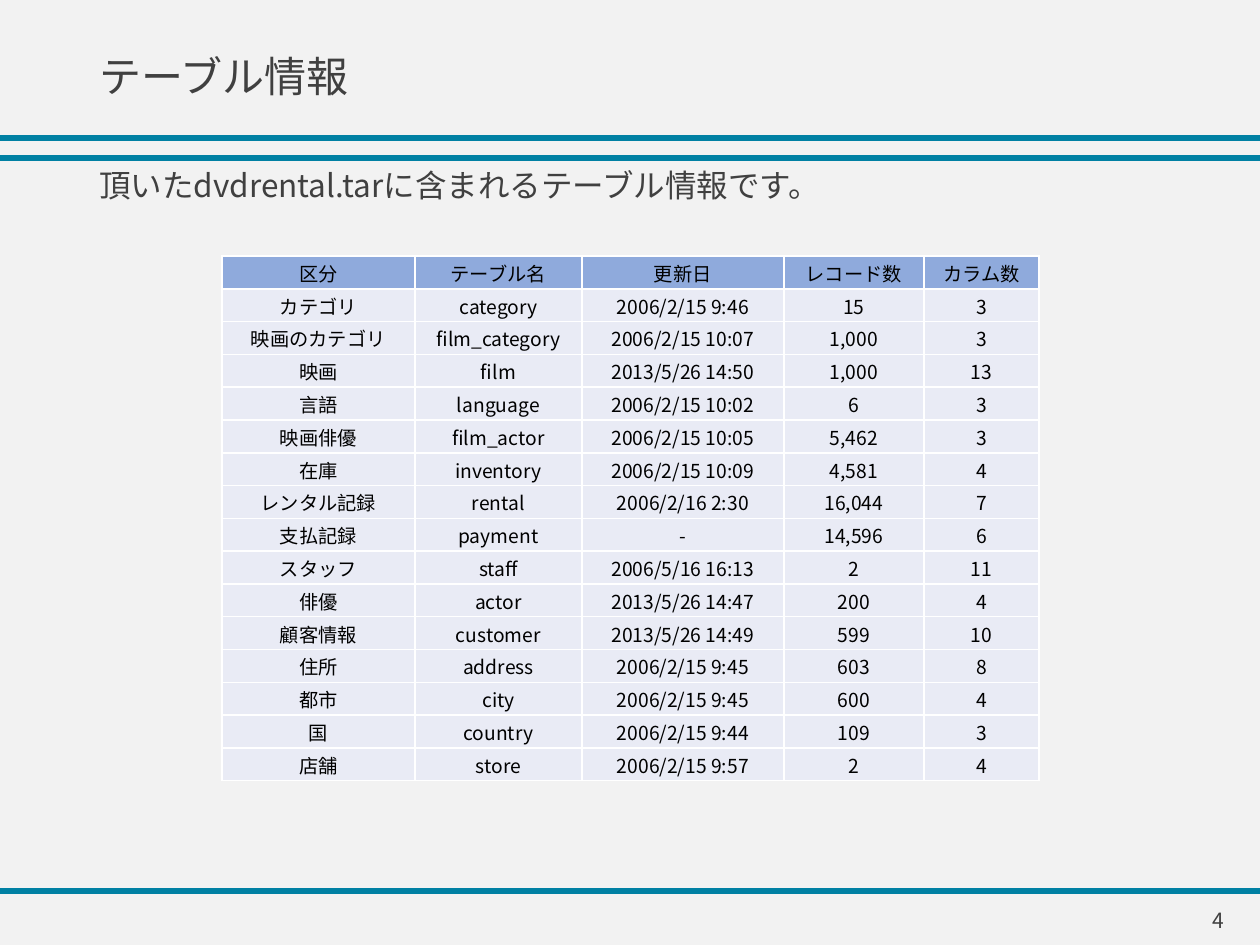
from lxml.etree import SubElement
from pptx import Presentation
from pptx.dml.color import RGBColor
from pptx.enum.shapes import MSO_CONNECTOR
from pptx.enum.text import MSO_ANCHOR, PP_ALIGN
from pptx.oxml.ns import qn
from pptx.util import Emu, Pt

FONT = "Noto Sans CJK JP"
COLORS = {
    "back": "F2F2F2", "rule": "0080A3", "text": "404040", "cell": "000000",
    "head": "8FAADC", "body": "E9EBF5", "edge": "FFFFFF",
}
WIDTH, HEIGHT = 1260, 945

HEAD = ("区分", "テーブル名", "更新日", "レコード数", "カラム数")
ROWS = [
    ("カテゴリ", "category", "2006/2/15 9:46", "15", "3"),
    ("映画のカテゴリ", "film_category", "2006/2/15 10:07", "1,000", "3"),
    ("映画", "film", "2013/5/26 14:50", "1,000", "13"),
    ("言語", "language", "2006/2/15 10:02", "6", "3"),
    ("映画俳優", "film_actor", "2006/2/15 10:05", "5,462", "3"),
    ("在庫", "inventory", "2006/2/15 10:09", "4,581", "4"),
    ("レンタル記録", "rental", "2006/2/16 2:30", "16,044", "7"),
    ("支払記録", "payment", "-", "14,596", "6"),
    ("スタッフ", "staff", "2006/5/16 16:13", "2", "11"),
    ("俳優", "actor", "2013/5/26 14:47", "200", "4"),
    ("顧客情報", "customer", "2013/5/26 14:49", "599", "10"),
    ("住所", "address", "2006/2/15 9:45", "603", "8"),
    ("都市", "city", "2006/2/15 9:45", "600", "4"),
    ("国", "country", "2006/2/15 9:44", "109", "3"),
    ("店舗", "store", "2006/2/15 9:57", "2", "4"),
]


def px(n):
    return Emu(round(n * 914400 / 126))


def color(name):
    return RGBColor.from_string(COLORS[name])


class Deck:
    def __init__(self):
        self.prs = Presentation()
        self.prs.slide_width, self.prs.slide_height = px(WIDTH), px(HEIGHT)
        self.slide = self.prs.slides.add_slide(self.prs.slide_layouts[6])
        fill = self.slide.background.fill
        fill.solid()
        fill.fore_color.rgb = color("back")

    def style(self, para, size, tone, align):
        para.alignment = align
        for run in para.runs:
            run.font.size = Pt(size)
            run.font.name = FONT
            run.font.color.rgb = color(tone)
            SubElement(run.font._element, qn("a:ea"), typeface=FONT)

    def rule(self, y):
        line = self.slide.shapes.add_connector(
            MSO_CONNECTOR.STRAIGHT, 0, px(y), px(WIDTH), px(y))
        line.line.color.rgb = color("rule")
        line.line.width = Pt(3)
        SubElement(line._element.spPr, qn("a:effectLst"))

    def text(self, words, box, size, anchor=MSO_ANCHOR.MIDDLE,
             align=PP_ALIGN.LEFT, lead=None, before=None):
        frame = self.slide.shapes.add_textbox(*map(px, box)).text_frame
        frame.word_wrap = True
        frame.vertical_anchor = anchor
        frame.text = words
        para = frame.paragraphs[0]
        para.line_spacing = lead
        para.space_before = before
        self.style(para, size, "text", align)

    def edges(self, cell):
        props = cell._tc.get_or_add_tcPr()
        for i, side in enumerate(("lnL", "lnR", "lnT", "lnB")):
            line = props.makeelement(qn("a:" + side), {"w": str(Pt(1))})
            fill = SubElement(line, qn("a:solidFill"))
            SubElement(fill, qn("a:srgbClr"), val=COLORS["edge"])
            props.insert(i, line)

    def table(self, rows, left, top, widths, height):
        table = self.slide.shapes.add_table(
            len(rows), len(widths), px(left), px(top),
            px(sum(widths)), px(height)).table
        for col, width in zip(table.columns, widths):
            col.width = px(width)
        for r, row in enumerate(rows):
            table.rows[r].height = px(height / len(rows))
            for c, words in enumerate(row):
                cell = table.cell(r, c)
                cell.text = words
                cell.vertical_anchor = MSO_ANCHOR.MIDDLE
                cell.margin_left = cell.margin_right = cell.margin_top = px(1)
                cell.margin_bottom = 0
                cell.fill.solid()
                cell.fill.fore_color.rgb = color("body" if r else "head")
                self.edges(cell)
                self.style(cell.text_frame.paragraphs[0], 11, "cell",
                           PP_ALIGN.CENTER)


def main():
    deck = Deck()

    # Rules under the title and above the footer
    for y in (138, 158, 891):
        deck.rule(y)

    # Title and lead sentence
    deck.text("テーブル情報", (87, 19, 820, 120), 24, lead=0.9)
    deck.text("頂いたdvdrental.tarに含まれるテーブル情報です。",
              (87, 164, 1086, 66), 18, MSO_ANCHOR.TOP,
              lead=0.9, before=Pt(10))

    # Table list
    deck.table([HEAD, *ROWS], 222, 256, (193, 167, 202, 140, 115), 525)

    # Page number
    deck.text("4", (954, 895, 283, 50), 12, align=PP_ALIGN.RIGHT)

    deck.prs.save("out.pptx")


if __name__ == "__main__":
    main()
